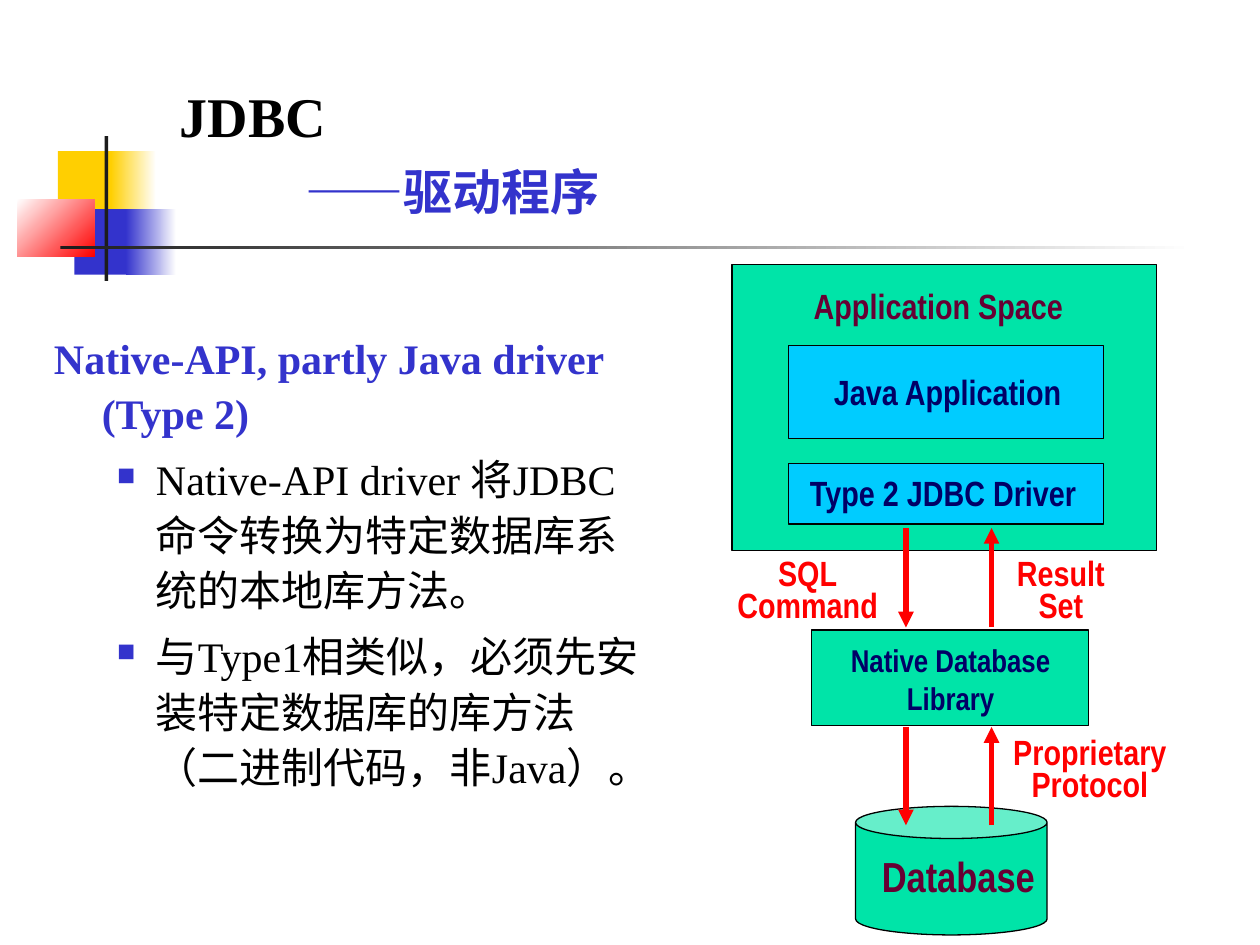
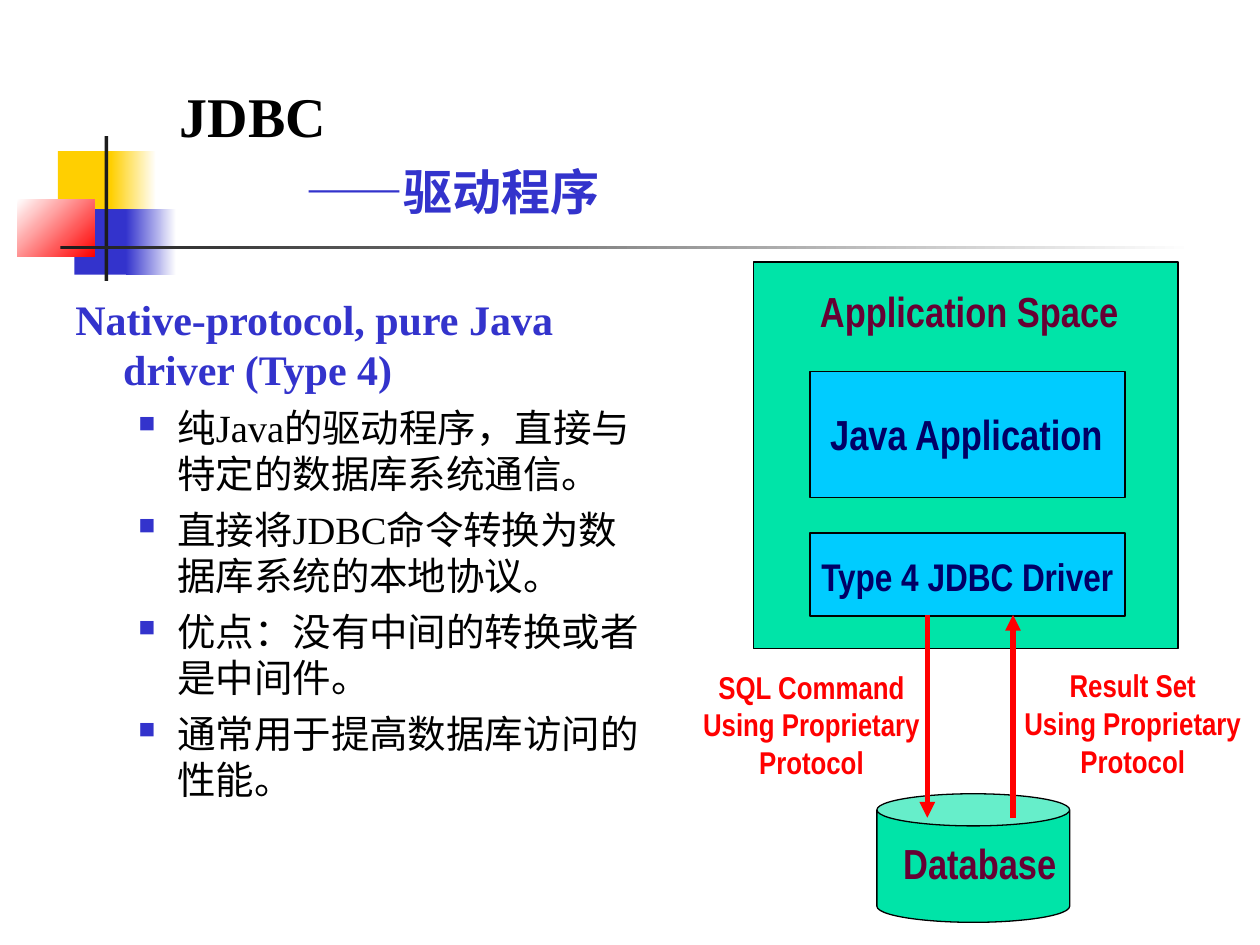
from dataclasses import dataclass

from lxml import etree
from pptx import Presentation
from pptx.dml.color import RGBColor
from pptx.enum.shapes import MSO_CONNECTOR, MSO_SHAPE
from pptx.enum.text import PP_ALIGN
from pptx.oxml.ns import qn
from pptx.slide import Slide
from pptx.text.text import TextFrame
from pptx.util import Emu, Inches, Pt

RECT, CAN = MSO_SHAPE.RECTANGLE, MSO_SHAPE.CAN
STRAIGHT = MSO_CONNECTOR.STRAIGHT
LEFT, CENTER = PP_ALIGN.LEFT, PP_ALIGN.CENTER

SLIDE_WIDTH, SLIDE_HEIGHT = Inches(10), Inches(7.5)
COLUMNS, ROWS = 100, 75

BLACK = RGBColor(0x00, 0x00, 0x00)
WHITE = RGBColor(0xFF, 0xFF, 0xFF)
YELLOW = RGBColor(0xFF, 0xCF, 0x01)
BLUE = RGBColor(0x33, 0x33, 0xCC)
RED = RGBColor(0xFF, 0x00, 0x00)
CHARCOAL = RGBColor(0x1C, 0x1C, 0x1C)
GREEN = RGBColor(0x00, 0xE4, 0xA8)
SKY = RGBColor(0x00, 0xCC, 0xFF)
NAVY = RGBColor(0x00, 0x00, 0x66)
MAROON = RGBColor(0x66, 0x00, 0x33)

SERIF, NARROW = "Times New Roman", "Arial Narrow"


@dataclass(frozen=True)
class Area:
    column: float
    row: float
    columns: float
    rows: float

    def placed(self, origin: float = 0) -> tuple[Emu, Emu, Emu, Emu]:
        return (across(origin + self.column), down(self.row),
                across(self.columns), down(self.rows))


@dataclass(frozen=True)
class Ornament:
    area: Area
    color: RGBColor
    fade_to: RGBColor | None = None
    angle: float = 0


@dataclass(frozen=True)
class Block:
    area: Area
    color: RGBColor
    kind: MSO_SHAPE = RECT


@dataclass(frozen=True)
class Label:
    area: Area
    text: str
    size: float
    color: RGBColor
    align: PP_ALIGN = LEFT
    spacing: float = 1.0


@dataclass(frozen=True)
class Arrow:
    column: float
    start_row: float
    end_row: float


@dataclass(frozen=True)
class Body:
    area: Area
    heading: str
    points: tuple[str, ...]
    point_size: float
    spacing: float


@dataclass(frozen=True)
class Diagram:
    origin: float
    blocks: tuple[Block, ...]
    labels: tuple[Label, ...]
    arrow_spans: tuple[tuple[float, float], ...]


ORNAMENTS = (
    Ornament(Area(4.6, 12, 4.8, 5.2), YELLOW),
    Ornament(Area(8.8, 12, 3.6, 5.2), YELLOW, WHITE),
    Ornament(Area(5.9, 16.6, 4.6, 5.2), BLUE),
    Ornament(Area(10, 16.6, 4, 5.2), BLUE, WHITE),
    Ornament(Area(1.4, 15.8, 6.1, 4.6), WHITE, RED, 315),
    Ornament(Area(8.3, 10.8, 0.3, 11.5), CHARCOAL),
    Ornament(Area(4.8, 19.5, 90, 0.3), CHARCOAL, WHITE),
)
TITLE_AREA = Area(13.3, 6, 79.2, 12)
DOWN_COLUMN, UP_COLUMN = 13.8, 20.6

NATIVE_API_BODY = Body(
    Area(3.3, 25.5, 49.3, 44.8),
    "Native-API, partly Java driver (Type 2)",
    (
        "Native-API driver 将JDBC命令转换为特定数据库系统的本地库方法。",
        "与Type1相类似，必须先安装特定数据库的库方法（二进制代码，非Java）。",
    ),
    24, 1.1,
)
NATIVE_PROTOCOL_BODY = Body(
    Area(5, 22.8, 47.6, 44.8),
    "Native-protocol, pure Java driver (Type 4)",
    (
        "纯Java的驱动程序，直接与特定的数据库系统通信。",
        "直接将JDBC命令转换为数据库系统的本地协议。",
        "优点：没有中间的转换或者是中间件。",
        "通常用于提高数据库访问的性能。",
    ),
    22, 1.0,
)

NATIVE_API_DIAGRAM = Diagram(
    58.1,
    (
        Block(Area(9.8, 64, 15.2, 10.2), GREEN, CAN),
        Block(Area(0, 21, 33.7, 22.7), GREEN),
        Block(Area(4.5, 27.4, 25, 7.4), SKY),
        Block(Area(4.5, 36.8, 25, 4.8), SKY),
        Block(Area(6.3, 50, 22, 7.6), GREEN),
    ),
    (
        Label(Area(5.5, 22.1, 21.8, 4.3), "Application Space", 20, MAROON),
        Label(Area(7.1, 28.9, 20.1, 4.3), "Java Application", 20, NAVY),
        Label(Area(5.2, 36.9, 23.3, 4.3), "Type 2 JDBC Driver", 20, NAVY),
        Label(Area(10.9, 67, 14.2, 5), "Database", 24, MAROON),
        Label(Area(-0.6, 44.1, 13.2, 6), "SQL\nCommand", 20, RED, CENTER, 0.75),
        Label(Area(21.6, 44.1, 9, 6), "Result\nSet", 20, RED, CENTER, 0.75),
        Label(Area(8, 50.4, 18.7, 7), "Native Database\nLibrary", 18, NAVY, CENTER),
        Label(Area(21.3, 58.3, 14.2, 6), "Proprietary\nProtocol", 20, RED, CENTER, 0.75),
    ),
    ((41.9, 49.8), (57.7, 65.5)),
)
NATIVE_PROTOCOL_DIAGRAM = Diagram(
    59.8,
    (
        Block(Area(0, 20.8, 33.7, 30.7), GREEN),
        Block(Area(4.5, 29.5, 25, 10), SKY),
        Block(Area(4.5, 42.3, 25, 6.6), SKY),
        Block(Area(9.8, 63, 15.3, 10.2), GREEN, CAN),
    ),
    (
        Label(Area(4.3, 22.2, 25.7, 5), "Application Space", 24, MAROON),
        Label(Area(5.1, 31.9, 23.7, 5), "Java Application", 24, NAVY),
        Label(Area(4.4, 43.4, 25.4, 4.7), "Type 4 JDBC Driver", 22, NAVY),
        Label(Area(10.9, 66, 14.2, 5), "Database", 24, MAROON),
        Label(Area(-5, 52.5, 19.2, 10), "SQL Command\nUsing Proprietary\nProtocol",
              18, RED, CENTER),
        Label(Area(20.5, 52.4, 19.2, 10), "Result Set\nUsing Proprietary\nProtocol",
              18, RED, CENTER),
    ),
    ((48.8, 64.9),),
)


def across(columns: float) -> Emu:
    return Emu(round(SLIDE_WIDTH * columns / COLUMNS))


def down(rows: float) -> Emu:
    return Emu(round(SLIDE_HEIGHT * rows / ROWS))


def add_text(frame: TextFrame, text: str, size: float, color: RGBColor,
             name: str = SERIF, bold: bool = True, align: PP_ALIGN = LEFT,
             spacing: float = 1.0, before: float = 0, margin: float = 0,
             hanging: float = 0, bullet: str = "") -> None:
    first = frame.paragraphs[0]
    para = frame.add_paragraph() if first.runs else first
    para.text = text
    para.alignment = align
    para.line_spacing = spacing
    para.space_before = Pt(before)
    properties = para._p.get_or_add_pPr()
    properties.set("marL", str(across(margin)))
    properties.set("indent", str(-across(hanging)))
    if bullet:
        bullet_color = etree.SubElement(properties, qn("a:buClr"))
        etree.SubElement(bullet_color, qn("a:srgbClr"), val=str(BLUE))
        etree.SubElement(properties, qn("a:buSzPct"), val="60000")
        etree.SubElement(properties, qn("a:buChar"), char=bullet)
    font = para.font
    font.name, font.size, font.bold = name, Pt(size), bold
    font.color.rgb = color


def add_frame(page: Slide, area: Area, origin: float = 0, wrap: bool = True) -> TextFrame:
    frame = page.shapes.add_textbox(*area.placed(origin)).text_frame
    frame.word_wrap = wrap
    return frame


def draw_ornament(page: Slide, ornament: Ornament) -> None:
    shape = page.shapes.add_shape(RECT, *ornament.area.placed())
    shape.shadow.inherit = False
    shape.line.fill.background()
    if ornament.fade_to is None:
        shape.fill.solid()
        shape.fill.fore_color.rgb = ornament.color
        return
    shape.fill.gradient()
    shape.fill.gradient_angle = ornament.angle
    for stop, color in zip(shape.fill.gradient_stops, (ornament.color, ornament.fade_to)):
        stop.color.rgb = color


def draw_block(page: Slide, block: Block, origin: float) -> None:
    shape = page.shapes.add_shape(block.kind, *block.area.placed(origin))
    shape.shadow.inherit = False
    shape.fill.solid()
    shape.fill.fore_color.rgb = block.color
    shape.line.color.rgb = BLACK
    shape.line.width = Pt(0.75)


def draw_label(page: Slide, label: Label, origin: float) -> None:
    frame = add_frame(page, label.area, origin, wrap=False)
    for line in label.text.split("\n"):
        add_text(frame, line, label.size, label.color, NARROW,
                 align=label.align, spacing=label.spacing)


def draw_arrow(page: Slide, arrow: Arrow, origin: float) -> None:
    column = across(origin + arrow.column)
    connector = page.shapes.add_connector(
        STRAIGHT, column, down(arrow.start_row), column, down(arrow.end_row))
    connector.line.color.rgb = RED
    connector.line.width = Pt(3)
    etree.SubElement(connector.line._get_or_add_ln(), qn("a:tailEnd"), type="triangle")
    etree.SubElement(connector._element.spPr, qn("a:effectLst"))


def draw_title(page: Slide) -> None:
    frame = add_frame(page, TITLE_AREA)
    add_text(frame, "JDBC", 32, BLACK)
    add_text(frame, "——驱动程序", 28, BLUE, before=7, margin=10)


def draw_body(page: Slide, body: Body) -> None:
    frame = add_frame(page, body.area)
    add_text(frame, body.heading, 24, BLUE, spacing=body.spacing, margin=3.8, hanging=3.8)
    for point in body.points:
        add_text(frame, point, body.point_size, BLACK, bold=False, spacing=body.spacing,
                 before=body.point_size / 4, margin=8.1, hanging=3.1, bullet="■")


def draw_diagram(page: Slide, diagram: Diagram) -> None:
    for block in diagram.blocks:
        draw_block(page, block, diagram.origin)
    for label in diagram.labels:
        draw_label(page, label, diagram.origin)
    for top, bottom in diagram.arrow_spans:
        draw_arrow(page, Arrow(DOWN_COLUMN, top, bottom), diagram.origin)
        draw_arrow(page, Arrow(UP_COLUMN, bottom, top), diagram.origin)


def main() -> None:
    deck = Presentation()
    deck.slide_width, deck.slide_height = SLIDE_WIDTH, SLIDE_HEIGHT
    for body, diagram in ((NATIVE_API_BODY, NATIVE_API_DIAGRAM),
                          (NATIVE_PROTOCOL_BODY, NATIVE_PROTOCOL_DIAGRAM)):
        page = deck.slides.add_slide(deck.slide_layouts[6])
        for ornament in ORNAMENTS:
            draw_ornament(page, ornament)
        draw_title(page)
        draw_body(page, body)
        draw_diagram(page, diagram)
    deck.save("out.pptx")


if __name__ == "__main__":
    main()
